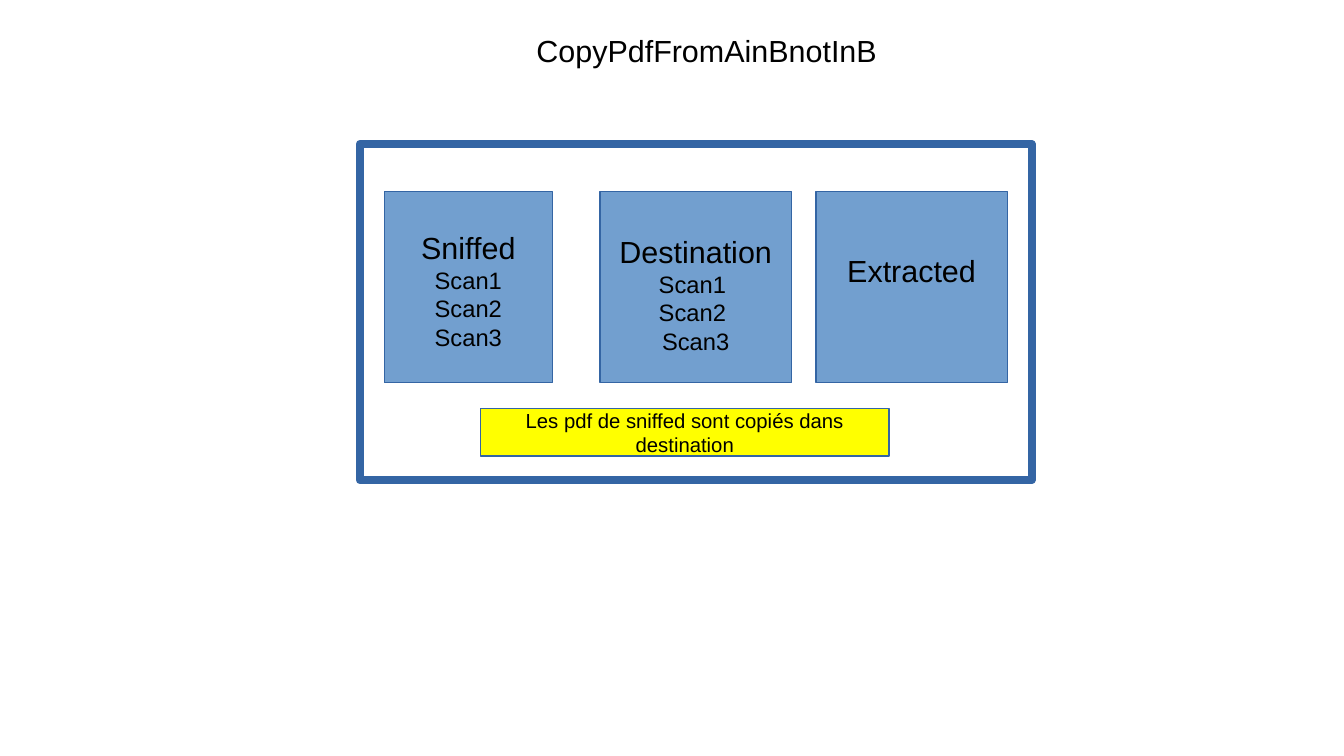
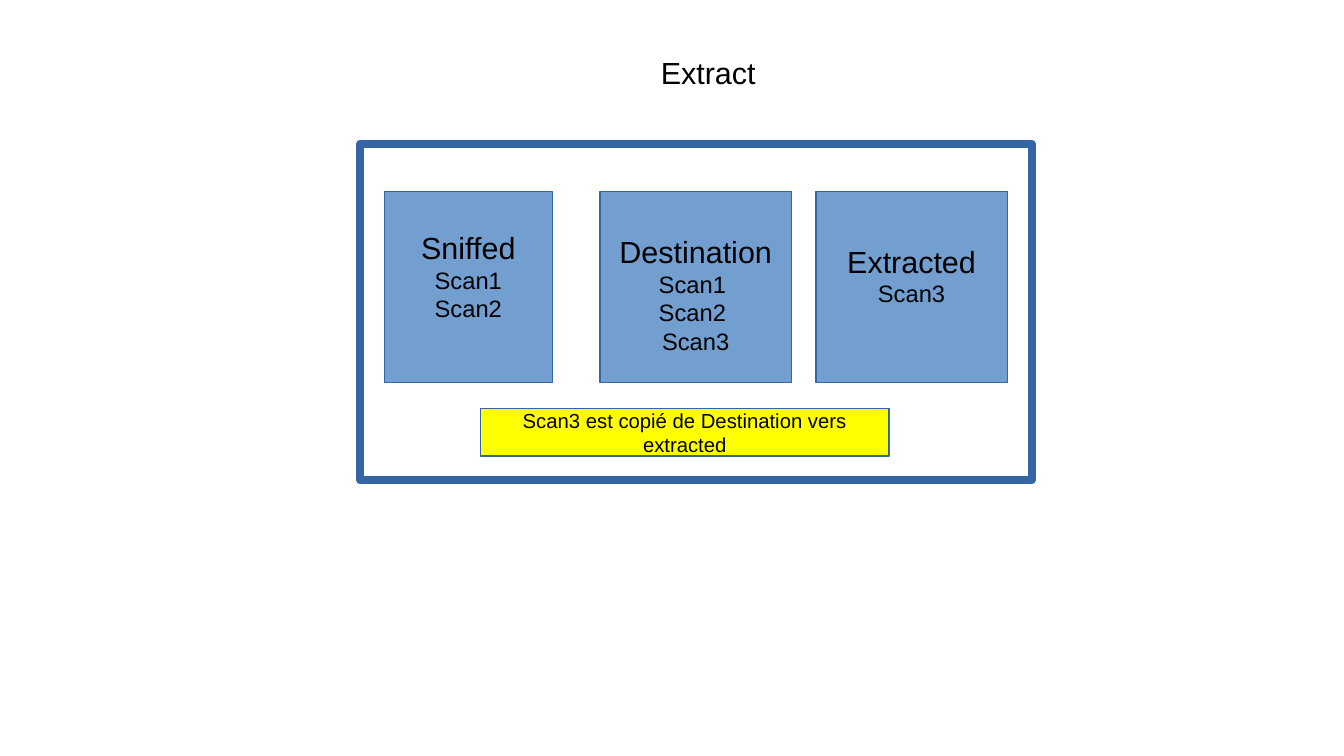
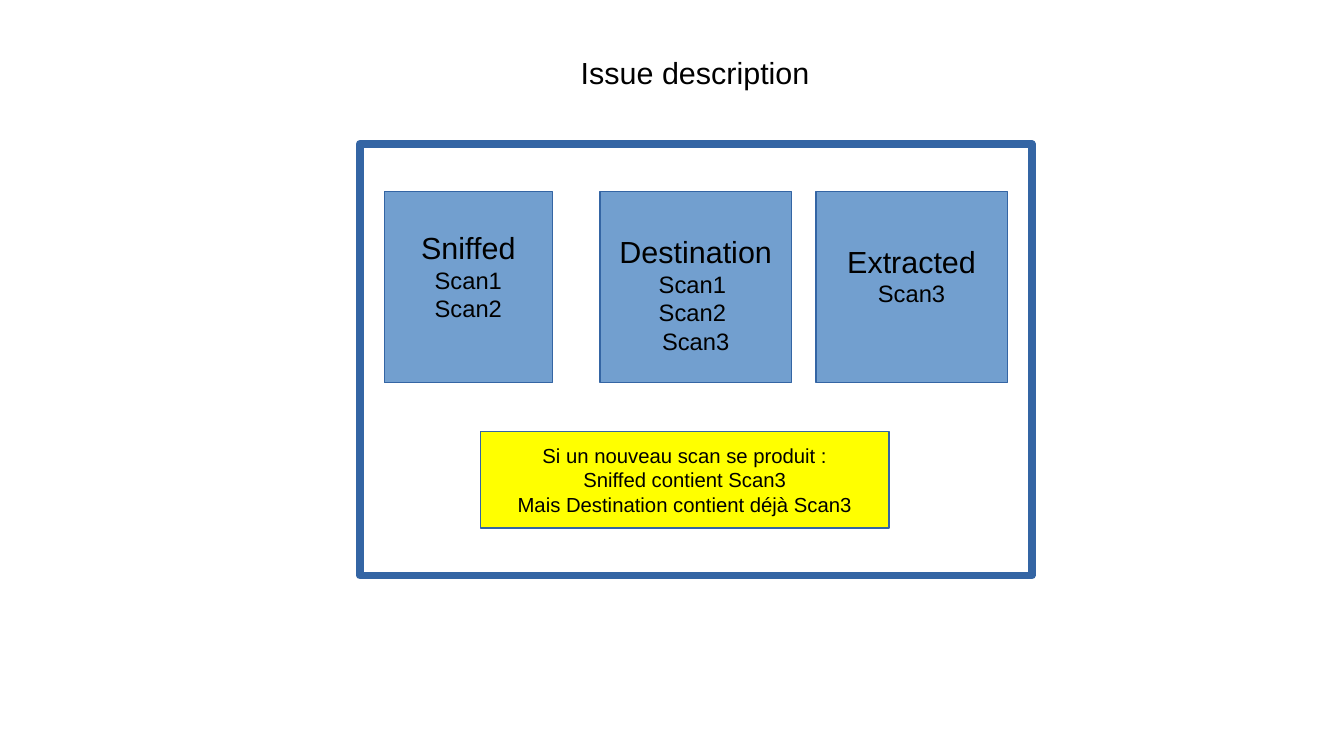
from pptx import Presentation
from pptx import util as u
from pptx.dml.color import RGBColor
from pptx.enum import shapes, text

COLORS = {"card": "729FCF", "line": "3465A4", "note": "FFFF00", "ink": "000000"}
FONT = "Arial"
TITLE_SIZE, ITEM_SIZE, NOTE_SIZE = 18, 14, 12

FRAME_LEFT, FRAME_TOP, FRAME_WIDTH = 2.95, 1.18, 5.51
CARD_PITCH, CARD_HEIGHT = 1.77, 1.57
CARD_WIDTHS = (1.38, 1.57, 1.57)

DESTINATION = ("Destination", ["Scan1 ", "Scan2 ", "Scan3"], 0.34)

# Cards: heading, items, space above the heading
SLIDES = [
    dict(title="CopyPdfFromAinBnotInB", title_box=(4.3, 0.21, 2.99, 0.66),
         cards=[("Sniffed", ["Scan1", "Scan2", "Scan3"], 0.31),
                DESTINATION,
                ("Extracted", [], 0.5)],
         frame_height=2.76, note_top=2.17, note_height=0.39,
         note=["Les pdf de sniffed sont copiés dans destination"]),
    dict(title="Extract", title_box=(5.32, 0.39, 1.2, 0.38),
         cards=[("Sniffed", ["Scan1", "Scan2"], 0.31),
                DESTINATION,
                ("Extracted", ["Scan3"], 0.42)],
         frame_height=2.76, note_top=2.17, note_height=0.39,
         note=["Scan3 est copié de Destination vers extracted"]),
    dict(title="Issue description", title_box=(4.13, 0.39, 3.14, 0.43),
         title_align="CENTER",
         cards=[("Sniffed", ["Scan1", "Scan2"], 0.31),
                DESTINATION,
                ("Extracted", ["Scan3"], 0.42)],
         frame_height=3.54, note_top=2.36, note_height=0.79,
         note=["Si un nouveau scan se produit :", "Sniffed contient Scan3",
               "Mais Destination contient déjà Scan3"]),
]


def color(name):
    return RGBColor.from_string(COLORS[name])


def inches(box):
    return [u.Inches(round(v, 2)) for v in box]


def write(sp, lines, align="CENTER", anchor="MIDDLE", top=0.05):
    """Write (text, size) lines as one paragraph with line breaks."""
    tf = sp.text_frame
    tf.word_wrap = True
    tf.vertical_anchor = getattr(text.MSO_ANCHOR, anchor)
    tf.margin_left = tf.margin_right = u.Inches(0.1)
    tf.margin_top, tf.margin_bottom = u.Inches(top), u.Inches(0.05)
    p = tf.paragraphs[0]
    p.alignment = getattr(text.PP_ALIGN, align)
    for i, (line, size) in enumerate(lines):
        if i:
            p.add_line_break()
        r = p.add_run()
        r.text = line
        r.font.name, r.font.size = FONT, u.Pt(size)
        r.font.color.rgb = color("ink")


def add_rect(s, box, fill=None, line_width=0):
    sp = s.shapes.add_shape(shapes.MSO_SHAPE.RECTANGLE, *inches(box))
    sp.shadow.inherit = False
    if fill:
        sp.fill.solid()
        sp.fill.fore_color.rgb = color(fill)
    else:
        sp.fill.background()
    sp.line.color.rgb = color("line")
    sp.line.width = u.Pt(line_width)
    return sp


def add_cards(s, left, top, cards):
    for i, ((heading, items, space), width) in enumerate(zip(cards, CARD_WIDTHS)):
        sp = add_rect(s, (left + i * CARD_PITCH, top, width, CARD_HEIGHT), "card")
        lines = [(heading, TITLE_SIZE)] + [(item, ITEM_SIZE) for item in items]
        write(sp, lines, anchor="TOP", top=space)


def add_folder_slide(prs, title, title_box, cards, frame_height, note_top,
                     note_height, note, title_align="LEFT"):
    s = prs.slides.add_slide(prs.slide_layouts[6])
    # Folders inside the frame
    add_cards(s, FRAME_LEFT + 0.2, FRAME_TOP + 0.39, cards)
    add_rect(s, (FRAME_LEFT, FRAME_TOP, FRAME_WIDTH, frame_height), line_width=4.5)
    # Explanation
    sp = add_rect(s, (FRAME_LEFT + 0.99, FRAME_TOP + note_top, 3.35, note_height), "note")
    write(sp, [(line, NOTE_SIZE) for line in note])
    # Title
    tb = s.shapes.add_textbox(*inches(title_box))
    write(tb, [(title, TITLE_SIZE)], align=title_align, anchor="TOP")


def main():
    prs = Presentation()
    prs.slide_width, prs.slide_height = u.Inches(11.02), u.Inches(6.2)
    for content in SLIDES:
        add_folder_slide(prs, **content)
    prs.save("out.pptx")


if __name__ == "__main__":
    main()
